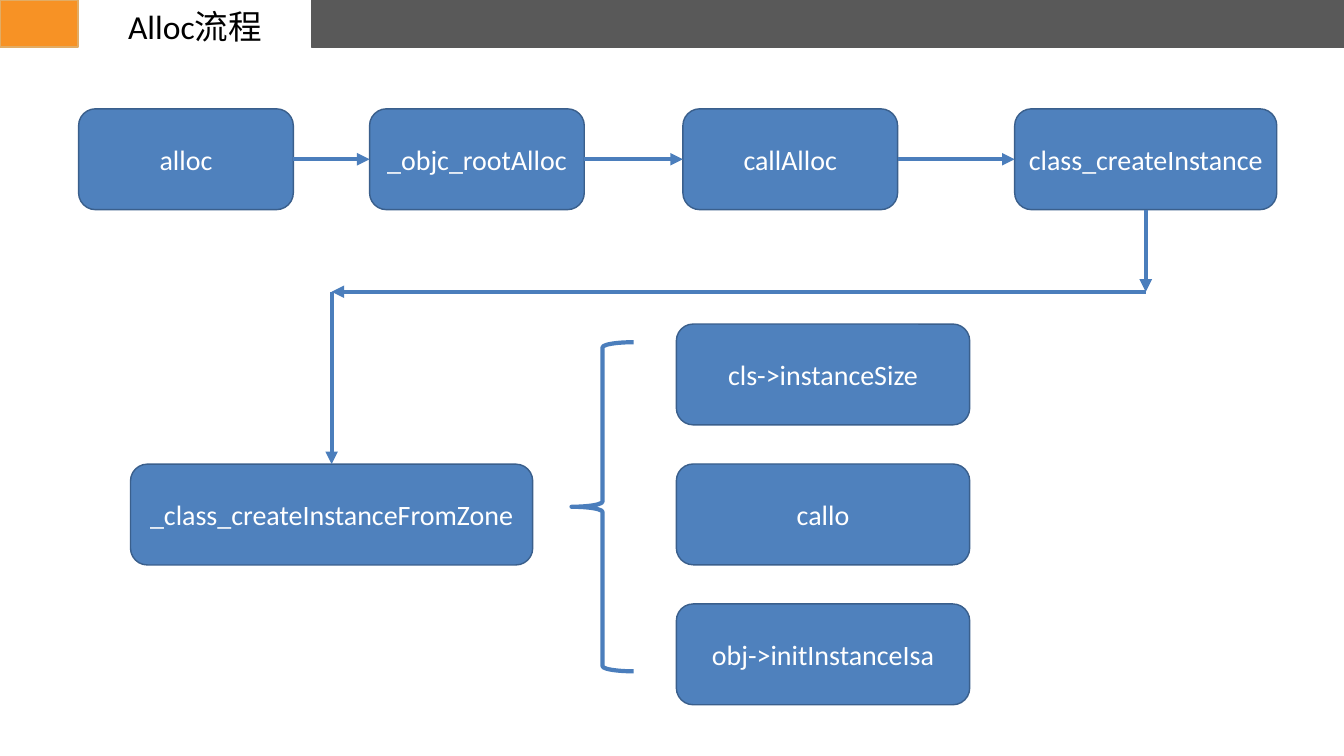
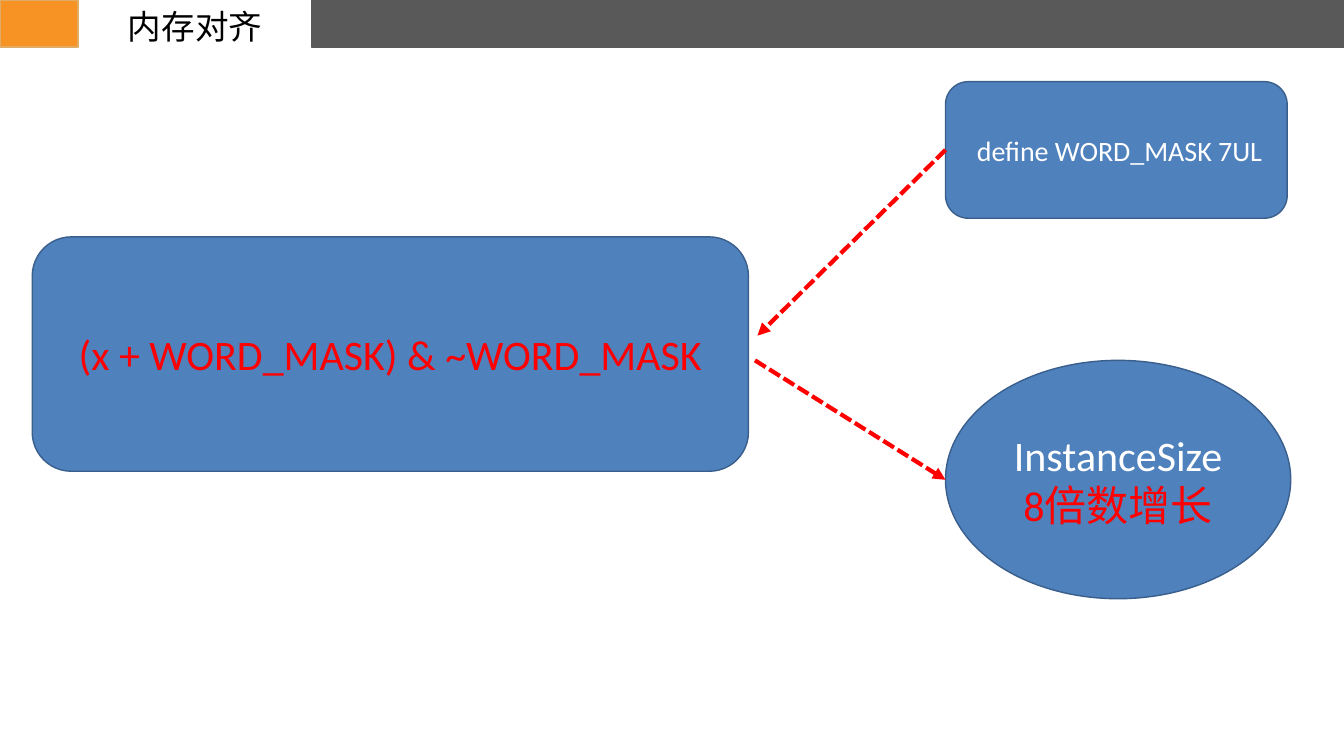
from dataclasses import dataclass
from itertools import pairwise
from typing import NamedTuple, Optional

from lxml.etree import SubElement
from pptx import Presentation
from pptx.dml.color import RGBColor
from pptx.enum.dml import MSO_LINE_DASH_STYLE as Dash
from pptx.enum.shapes import MSO_CONNECTOR as Connector
from pptx.enum.shapes import MSO_SHAPE as Preset
from pptx.enum.text import MSO_ANCHOR as Anchor
from pptx.enum.text import MSO_AUTO_SIZE as AutoSize
from pptx.enum.text import PP_ALIGN as Align
from pptx.oxml.ns import qn
from pptx.util import Inches, Pt

WIDTH, HEIGHT = Inches(26.67), Inches(15)
COLUMNS, ROWS = 80, 45
FONT = "Calibri"
COLORS = {
    "band": "595959",
    "accent": "F79225",
    "accent_edge": "E2AC64",
    "box": "4F81BD",
    "box_edge": "3A5F8C",
    "arrow": "4B7EBC",
    "white": "FFFFFF",
    "black": "000000",
    "red": "FF0000",
}
TOP, BOTTOM_SIDE, LEFT, RIGHT = 0, 2, 1, 3
EDGE_WIDTH, ARROW_WIDTH = 2, 6
HEADER_ROWS, BOX_ROWS = 2.8, 6


class Area(NamedTuple):
    column: float
    row: float
    columns: float
    rows: float


class Point(NamedTuple):
    column: float
    row: float


class Line(NamedTuple):
    text: str
    color: str = "white"


@dataclass(frozen=True)
class Box:
    area: Area
    lines: tuple[Line, ...]
    size: int = 40
    preset: int = Preset.ROUNDED_RECTANGLE


@dataclass(frozen=True)
class Joint:
    shape: object
    side: int


@dataclass(frozen=True)
class ArrowStyle:
    color: str = "arrow"
    dash: Optional[int] = None


TITLE_AREA = Area(4.68, 0.18, 13.86, 2.73)
SOLID_ARROW = ArrowStyle()
DASHED_ARROW = ArrowStyle("red", Dash.SQUARE_DOT)


def color_of(name: str) -> RGBColor:
    return RGBColor.from_string(COLORS[name])


def across(columns: float) -> int:
    return round(WIDTH * columns / COLUMNS)


def down(rows: float) -> int:
    return round(HEIGHT * rows / ROWS)


def place(area: Area) -> tuple[int, int, int, int]:
    return across(area.column), down(area.row), across(area.columns), down(area.rows)


def write(text_frame, lines: tuple[Line, ...], size: int) -> None:
    text_frame.word_wrap = True
    text_frame.vertical_anchor = Anchor.MIDDLE
    text_frame.text = "\n".join(line.text for line in lines)
    for paragraph, line in zip(text_frame.paragraphs, lines):
        paragraph.alignment = Align.CENTER
        for run in paragraph.runs:
            run.font.name = FONT
            run.font.size = Pt(size)
            run.font.color.rgb = color_of(line.color)


def draw_shape(slide, preset: int, area: Area, fill: Optional[str], edge: str,
               edge_width: int = EDGE_WIDTH):
    shape = slide.shapes.add_shape(preset, *place(area))
    shape.shadow.inherit = False
    if fill:
        shape.fill.solid()
        shape.fill.fore_color.rgb = color_of(fill)
    else:
        shape.fill.background()
    shape.line.color.rgb = color_of(edge)
    shape.line.width = Pt(edge_width)
    return shape


def draw_box(slide, box: Box):
    shape = draw_shape(slide, box.preset, box.area, "box", "box_edge")
    write(shape.text_frame, box.lines, box.size)
    return shape


def draw_arrow(slide, start: Point | Joint, end: Point | Joint,
               style: ArrowStyle = SOLID_ARROW) -> None:
    ends = [
        (across(stop.column), down(stop.row)) if isinstance(stop, Point) else (0, 0)
        for stop in (start, end)
    ]
    connector = slide.shapes.add_connector(Connector.STRAIGHT, *ends[0], *ends[1])
    if isinstance(start, Joint):
        connector.begin_connect(start.shape, start.side)
    if isinstance(end, Joint):
        connector.end_connect(end.shape, end.side)
    connector.line.color.rgb = color_of(style.color)
    connector.line.width = Pt(ARROW_WIDTH)
    if style.dash is not None:
        connector.line.dash_style = style.dash
    properties = connector._element.spPr
    SubElement(properties.find(qn("a:ln")), qn("a:tailEnd"), type="triangle")
    SubElement(properties, qn("a:effectLst"))


def add_titled_slide(presentation, title: str):
    slide = presentation.slides.add_slide(presentation.slide_layouts[6])
    band_start = TITLE_AREA.column + TITLE_AREA.columns
    band = Area(band_start, 0, COLUMNS - band_start, HEADER_ROWS)
    draw_shape(slide, Preset.RECTANGLE, band, "band", "band")
    accent = Area(0, 0, 4.65, HEADER_ROWS)
    draw_shape(slide, Preset.RECTANGLE, accent, "accent", "accent_edge")
    text_box = slide.shapes.add_textbox(*place(TITLE_AREA))
    write(text_box.text_frame, (Line(title, "black"),), 48)
    text_box.text_frame.auto_size = AutoSize.SHAPE_TO_FIT_TEXT
    return slide


def add_alloc_slide(presentation) -> None:
    slide = add_titled_slide(presentation, "Alloc流程")
    calls = [
        draw_box(slide, Box(Area(column, 6.48, columns, BOX_ROWS), (Line(name),)))
        for name, column, columns in (
            ("alloc", 4.68, 12.78),
            ("_objc_rootAlloc", 22, 12.78),
            ("callAlloc", 40.65, 12.78),
            ("class_createInstance", 60.4, 15.6),
        )
    ]
    for caller, callee in pairwise(calls):
        draw_arrow(slide, Joint(caller, RIGHT), Joint(callee, LEFT))

    from_zone = draw_box(slide, Box(Area(7.77, 27.63, 23.94, BOX_ROWS),
                                    (Line("_class_createInstanceFromZone"),)))
    right_turn, left_turn = Point(68.2, 17.37), Point(19.74, 17.37)
    draw_arrow(slide, Joint(calls[-1], BOTTOM_SIDE), right_turn)
    draw_arrow(slide, right_turn, left_turn)
    draw_arrow(slide, left_turn, Joint(from_zone, TOP))

    draw_shape(slide, Preset.LEFT_BRACE, Area(34.02, 20.37, 3.69, 19.59),
               None, "arrow", ARROW_WIDTH)
    steps = ("cls->instanceSize", "callo", "obj->initInstanceIsa")
    for index, step in enumerate(steps):
        area = Area(40.26, 19.29 + 8.33 * index, 17.46, BOX_ROWS)
        draw_box(slide, Box(area, (Line(step),)))


def add_alignment_slide(presentation) -> None:
    slide = add_titled_slide(presentation, "内存对齐")
    draw_box(slide, Box(Area(1.92, 14.1, 42.63, 13.95),
                        (Line("(x + WORD_MASK) & ~WORD_MASK", "red"),), 60))
    draw_box(slide, Box(Area(56.28, 21.45, 20.55, 14.19),
                        (Line("InstanceSize"), Line("8倍数增长", "red")),
                        60, Preset.OVAL))
    definition = draw_box(slide, Box(Area(56.28, 4.86, 20.34, 8.13),
                                     (Line(" define WORD_MASK 7UL"),)))
    draw_arrow(slide, Joint(definition, LEFT), Point(45.09, 19.98), DASHED_ARROW)
    draw_arrow(slide, Point(44.94, 21.45), Point(56.28, 28.56), DASHED_ARROW)


def main() -> None:
    presentation = Presentation()
    presentation.slide_width, presentation.slide_height = WIDTH, HEIGHT
    add_alloc_slide(presentation)
    add_alignment_slide(presentation)
    presentation.save("out.pptx")


if __name__ == "__main__":
    main()
